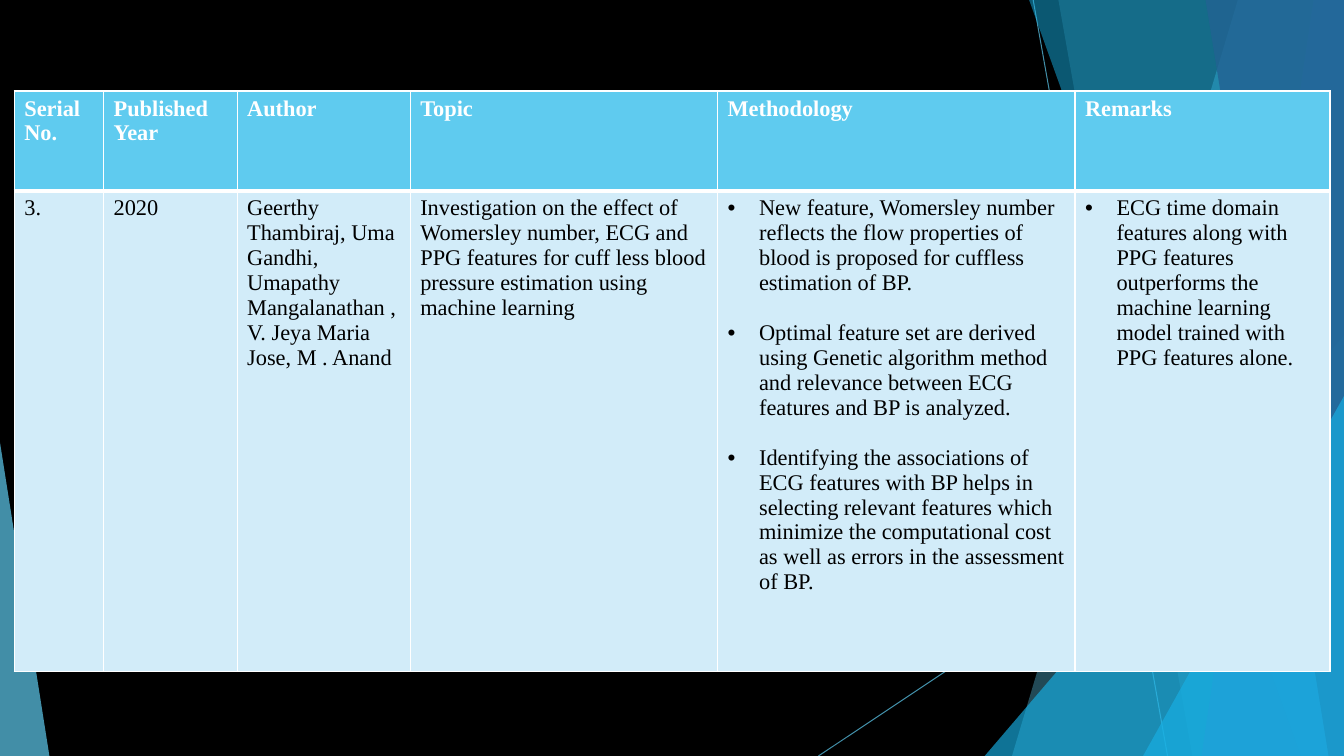
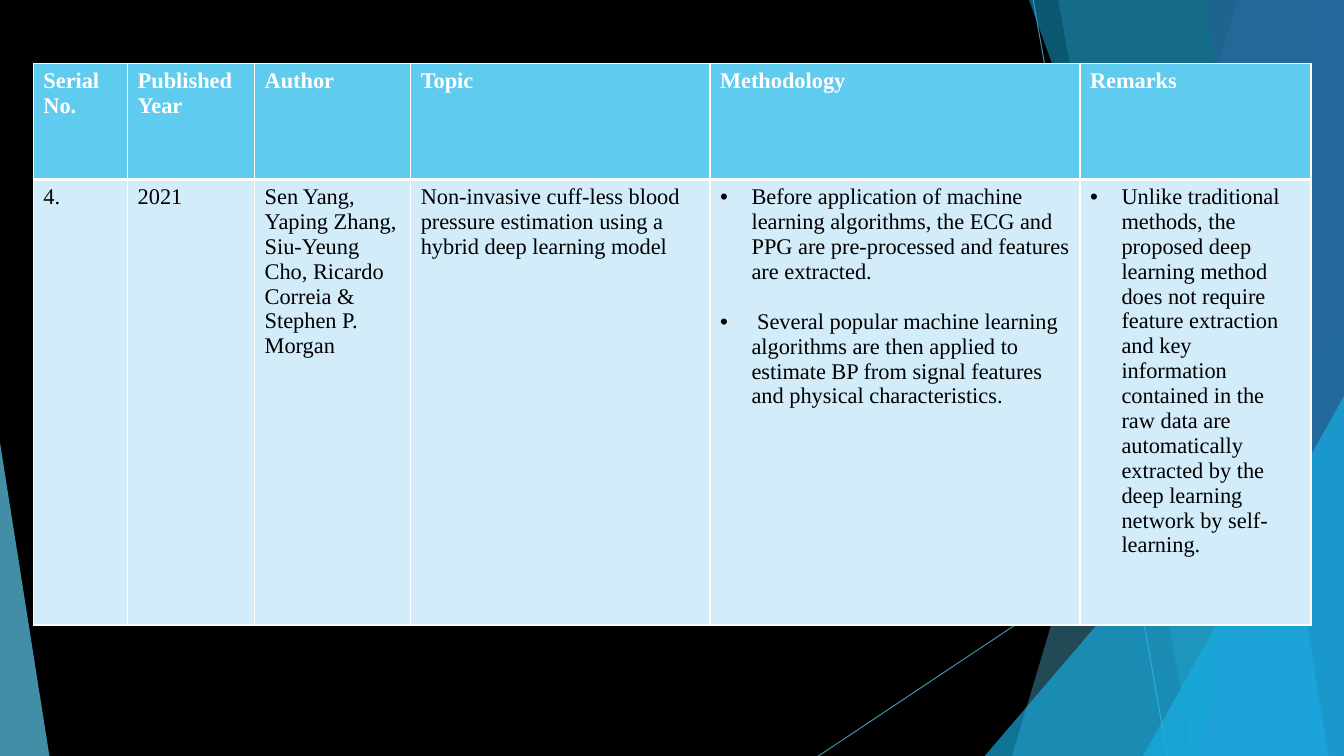
"""Build two literature-survey table slides over a shared faceted backdrop."""
from lxml.etree import SubElement
from pptx import Presentation
from pptx.dml.color import RGBColor
from pptx.enum.shapes import MSO_CONNECTOR as CONN, MSO_SHAPE as SHAPE
from pptx.oxml.ns import qn
from pptx.util import Pt

BLACK = RGBColor(0x00, 0x00, 0x00)
WHITE = RGBColor(0xFF, 0xFF, 0xFF)
SKY = RGBColor(0x5F, 0xCB, 0xEF)
CYAN = RGBColor(0x17, 0xB0, 0xE4)
BLUE = RGBColor(0x2E, 0x83, 0xC3)
NAVY = RGBColor(0x22, 0x62, 0x92)
PALE = RGBColor(0xD2, 0xEC, 0xF9)

FONT = "Times New Roman"
SIZE = 16
INDENT = 22.5
BULLET_GAP = 18
WIDTH, HEIGHT = 960, 540

HEADERS = ["Serial\nNo.", "Published\nYear", "Author", "Topic", "Methodology", "Remarks"]

PAPERS = [
    {
        "at": (10.2, 65),
        "cols": [63.8, 95.4, 123.7, 219.5, 255.3, 182.2],
        "rows": [71.3, 343.4],
        "plain": [
            "3.",
            "2020",
            "Geerthy Thambiraj, Uma Gandhi, Umapathy Mangalanathan ,V. Jeya Maria Jose, M . Anand",
            "Investigation on the effect of Womersley number, ECG and PPG features for cuff less "
            "blood pressure estimation using machine learning",
        ],
        "bulleted": [
            "New feature, Womersley number reflects the flow properties of blood is proposed for "
            "cuffless estimation of BP.\n"
            "Optimal feature set are derived using Genetic algorithm method and relevance between "
            "ECG features and BP is analyzed.\n"
            "Identifying the associations of ECG features with BP helps in selecting relevant "
            "features which minimize the computational cost as well as errors in the assessment of BP.",
            "ECG time domain features along with PPG features outperforms the machine learning "
            "model trained with PPG features alone.",
        ],
    },
    {
        "at": (23.8, 45.4),
        "cols": [67.4, 90.7, 111.5, 213.8, 264.3, 165],
        "rows": [82.8, 318.2],
        "plain": [
            "4.",
            "2021",
            "Sen Yang, Yaping Zhang, Siu-Yeung Cho, Ricardo Correia & Stephen P. Morgan",
            "Non-invasive cuff-less blood pressure estimation using a hybrid deep learning model",
        ],
        "bulleted": [
            "Before application of machine learning algorithms, the ECG and PPG are pre-processed "
            "and features are extracted.\n"
            " Several popular machine learning algorithms are then applied to estimate BP from "
            "signal features and physical characteristics.",
            "Unlike traditional methods, the proposed deep learning method does not require feature "
            "extraction and key information contained in the raw data are automatically extracted "
            "by the deep learning network by self-learning.",
        ],
    },
]


def set_alpha(sp, percent):
    for color in sp._element.spPr.iter(qn("a:srgbClr")):
        SubElement(color, qn("a:alpha"), val=str(percent * 1000))


def paint(sp, color, alpha):
    sp.shadow.inherit = False
    sp.fill.solid()
    sp.fill.fore_color.rgb = color
    sp.line.fill.background()
    set_alpha(sp, alpha)


def add_ray(s, x1, y1, x2, y2):
    ray = s.shapes.add_connector(CONN.STRAIGHT, Pt(x1), Pt(y1), Pt(x2), Pt(y2))
    ray.line.color.rgb = SKY
    ray.line.width = Pt(0.75)
    set_alpha(ray, 70)
    SubElement(ray._element.spPr, qn("a:effectLst"))


def add_facet(s, top_x, bottom_x, color, alpha):
    outline = s.shapes.build_freeform(Pt(top_x), 0)
    corners = [(WIDTH, 0), (WIDTH, HEIGHT), (bottom_x, HEIGHT)]
    outline.add_line_segments([(Pt(x), Pt(y)) for x, y in corners], close=True)
    paint(outline.convert_to_shape(), color, alpha)


def add_peak(s, left, top, right, apex, color, alpha):
    sp = s.shapes.add_shape(SHAPE.ISOSCELES_TRIANGLE, Pt(left), Pt(top),
                            Pt(right - left), Pt(HEIGHT - top))
    sp.adjustments[0] = apex
    paint(sp, color, alpha)


def add_backdrop(s):
    add_ray(s, 738, 0, 834, HEIGHT)
    add_ray(s, WIDTH, 290, 584.6, HEIGHT)
    add_facet(s, 884.2, 722.9, SKY, 36)
    add_facet(s, 756, 851.8, SKY, 20)
    add_peak(s, 703.4, 239.8, WIDTH, 1, CYAN, 66)
    add_facet(s, 735.1, 929.5, CYAN, 50)
    add_facet(s, 938.2, 858.2, BLUE, 70)
    add_facet(s, 861.1, 949, NAVY, 80)
    add_peak(s, 816.5, 283, WIDTH, 1, CYAN, 66)
    add_peak(s, 0, 316.1, 35.3, 0, SKY, 70)


def set_borders(cell, top, bottom):
    tc_pr = cell._tc.get_or_add_tcPr()
    for side, width in (("L", 1), ("R", 1), ("T", top), ("B", bottom)):
        ln = SubElement(tc_pr, qn(f"a:ln{side}"), w=str(Pt(width)))
        SubElement(SubElement(ln, qn("a:solidFill")), qn("a:srgbClr"), val=str(WHITE))


def set_bullet(p):
    p_pr = p._p.get_or_add_pPr()
    p_pr.set("marL", str(Pt(INDENT)))
    p_pr.set("indent", str(Pt(-INDENT)))
    SubElement(p_pr, qn("a:buFont"), typeface="Arial")
    SubElement(p_pr, qn("a:buChar"), char="•")


def fill_cell(cell, text, header=False, bulleted=False):
    set_borders(cell, 1 if header else 3, 3 if header else 1)
    cell.fill.solid()
    cell.fill.fore_color.rgb = SKY if header else PALE
    tf = cell.text_frame
    tf.text = text
    for i, p in enumerate(tf.paragraphs):
        if bulleted:
            p.space_before = Pt(BULLET_GAP if i else 0)
            set_bullet(p)
        for r in p.runs:
            r.font.name = FONT
            r.font.size = Pt(SIZE)
            r.font.bold = header
            r.font.color.rgb = WHITE if header else BLACK


def add_paper_table(s, paper):
    left, top = paper["at"]
    cols, rows = paper["cols"], paper["rows"]
    table = s.shapes.add_table(len(rows), len(cols), Pt(left), Pt(top),
                               Pt(sum(cols)), Pt(sum(rows))).table
    for column, width in zip(table.columns, cols):
        column.width = Pt(width)
    for row, height in zip(table.rows, rows):
        row.height = Pt(height)
    plain = paper["plain"]
    for i, (header, body) in enumerate(zip(HEADERS, plain + paper["bulleted"])):
        fill_cell(table.cell(0, i), header, header=True)
        fill_cell(table.cell(1, i), body, bulleted=i >= len(plain))


def main():
    prs = Presentation()
    prs.slide_width, prs.slide_height = Pt(WIDTH), Pt(HEIGHT)
    background = prs.slide_master.background.fill
    background.solid()
    background.fore_color.rgb = BLACK
    for paper in PAPERS:
        s = prs.slides.add_slide(prs.slide_layouts[6])
        add_backdrop(s)
        add_paper_table(s, paper)
    prs.save("out.pptx")


if __name__ == "__main__":
    main()
